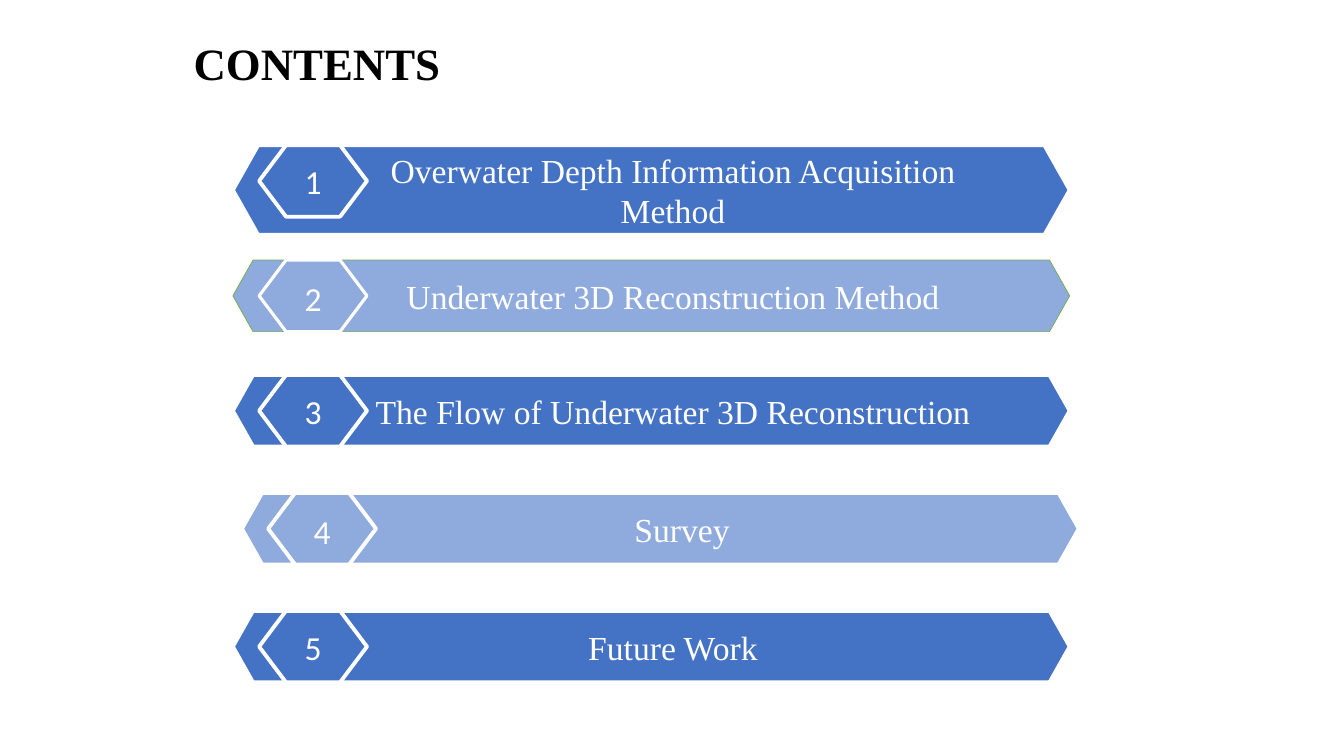
from pptx import Presentation
from pptx.dml.color import RGBColor
from pptx.enum.shapes import MSO_SHAPE
from pptx.enum.text import MSO_ANCHOR, MSO_AUTO_SIZE, PP_ALIGN
from pptx.util import Inches, Pt

HEXAGON = MSO_SHAPE.HEXAGON
TOP, MIDDLE = MSO_ANCHOR.TOP, MSO_ANCHOR.MIDDLE
LEFT, CENTER = PP_ALIGN.LEFT, PP_ALIGN.CENTER
GROW = MSO_AUTO_SIZE.SHAPE_TO_FIT_TEXT

WIDTH, HEIGHT = 13.33, 7.5
COLUMNS, ROWS = 133.3, 75
WHITE, BLACK, GREEN = "FFFFFF", "000000", "70AD47"
BLUE, PALE = "4472C4", "8FAADC"
SERIF, SANS = "Times New Roman", "Calibri"
BAR_WIDTH, BAR_HEIGHT = 83, 7.1
BADGE_WIDTH, BADGE_INDENT, BADGE_SLANT = 10.7, 2.6, 2.67


def color(hex_string):
    """Turn a hex string into a colour."""
    return RGBColor.from_string(hex_string)


def apply(target, values):
    """Set each attribute named in a dict of format values."""
    for attribute, value in values.items():
        setattr(target, attribute, value)


class Agenda:
    """Hold the style and the current slide of a contents page."""

    def __init__(self, deck):
        """Add a title-only slide to the deck."""
        self.slide = deck.slides.add_slide(deck.slide_layouts[5])
        self.frame = {"word_wrap": True, "vertical_anchor": MIDDLE}
        self.font = {"size": Pt(24), "bold": False}

    def across(self, columns):
        """Convert columns to a length."""
        return Inches(columns * WIDTH / COLUMNS)

    def down(self, rows):
        """Convert rows to a length."""
        return Inches(rows * HEIGHT / ROWS)

    def label(self, shape, wording, face, ink=WHITE, align=CENTER, spacing=None,
              frame=None, font=None):
        """Put formatted wording into a shape."""
        apply(shape.text_frame, self.frame | (frame or {}))
        paragraph = shape.text_frame.paragraphs[0]
        paragraph.text = wording
        apply(paragraph, {"alignment": align, "line_spacing": spacing})
        for run in paragraph.runs:
            apply(run.font, self.font | {"name": face} | (font or {}))
            run.font.color.rgb = color(ink)

    def paint(self, shape, fill, outline, weight):
        """Give a shape a flat fill and an outline."""
        shape.shadow.inherit = False
        shape.fill.solid()
        shape.fill.fore_color.rgb = color(fill)
        shape.line.color.rgb = color(outline)
        shape.line.width = Pt(weight)

    def title(self, wording, left, top, width, height):
        """Place and fill the title placeholder."""
        heading = self.slide.shapes.title
        apply(heading, {"left": self.across(left), "top": self.down(top),
                        "width": self.across(width), "height": self.down(height)})
        self.label(heading, wording, SERIF, BLACK, LEFT,
                   frame={"vertical_anchor": TOP, "auto_size": GROW},
                   font={"size": Pt(32), "bold": True})

    def bar(self, group, wording, left, top, height, fill, outline, weight):
        """Draw the long hexagon that carries a topic."""
        topic = group.shapes.add_shape(HEXAGON, self.across(left), self.down(top),
                                       self.across(BAR_WIDTH), self.down(height))
        topic.adjustments[0] = 0.282
        topic.adjustments[1] = 1.155
        self.paint(topic, fill, outline, weight)
        self.label(topic, wording, SERIF,
                   frame={"margin_left": Inches(0.51), "margin_right": Inches(0.08),
                          "margin_top": 0, "margin_bottom": 0})

    def badge(self, group, number, left, top, fill, weight, spacing):
        """Draw the small hexagon that carries a topic's number."""
        right, bottom = left + BADGE_WIDTH, top + BAR_HEIGHT
        middle = (top + bottom) / 2
        inner_left, inner_right = left + BADGE_SLANT, right - BADGE_SLANT
        corners = [(inner_left, top), (inner_right, top), (right, middle),
                   (inner_right, bottom), (inner_left, bottom), (left, middle)]
        points = [(self.across(x), self.down(y)) for x, y in corners]
        outline = group.shapes.build_freeform(*points[0])
        outline.add_line_segments(points[1:], close=True)
        marker = outline.convert_to_shape()
        self.paint(marker, fill, WHITE, weight)
        self.label(marker, str(number), SANS, spacing=spacing,
                   frame=dict.fromkeys(("margin_left", "margin_right",
                                        "margin_top", "margin_bottom"), 0))

    def entry(self, number, wording, top, left=23.1, height=BAR_HEIGHT,
              outline=WHITE, bar_weight=2.75, badge_weight=2.75):
        """Draw one numbered topic, with even numbers in the pale colour."""
        fill, spacing = (BLUE, None) if number % 2 else (PALE, 1.1)
        group = self.slide.shapes.add_group_shape()
        self.bar(group, wording, left, top, height, fill, outline, bar_weight)
        self.badge(group, number, left + BADGE_INDENT, top, fill, badge_weight, spacing)


TOPICS = [
    {"wording": "Overwater Depth Information Acquisition\vMethod", "top": 14.4,
     "height": 8.9},
    {"wording": "Underwater 3D Reconstruction Method", "top": 25.8,
     "outline": GREEN, "bar_weight": 0.5, "badge_weight": 2.25},
    {"wording": "The Flow of Underwater 3D Reconstruction", "top": 37.2},
    {"wording": "Survey", "top": 48.9, "left": 24},
    {"wording": "Future Work", "top": 60.6},
]

presentation = Presentation()
apply(presentation, {"slide_width": Inches(WIDTH), "slide_height": Inches(HEIGHT)})
agenda = Agenda(presentation)
agenda.title("CONTENTS", 18.2, 3, 56.3, 6.3)
for position, topic_values in enumerate(TOPICS, start=1):
    agenda.entry(position, **topic_values)
presentation.save("out.pptx")
